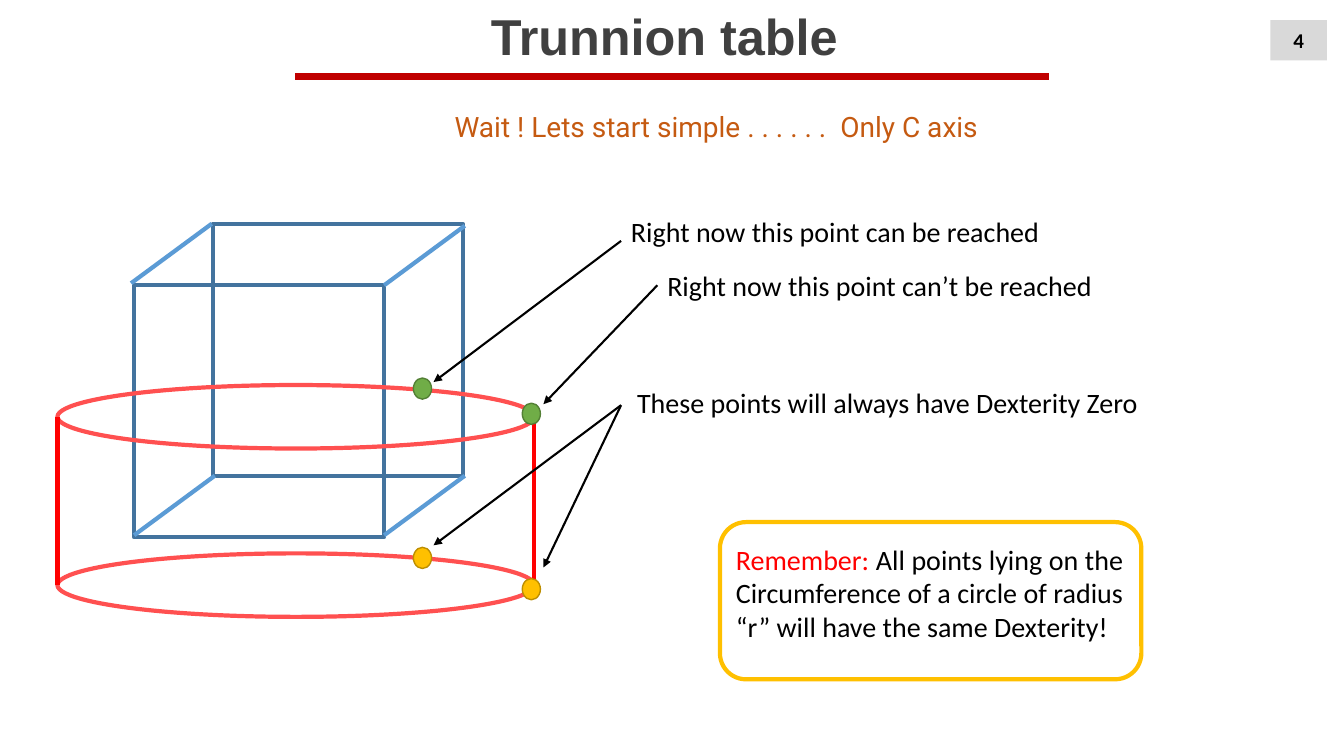
from dataclasses import dataclass

from lxml.etree import SubElement
from pptx import Presentation
from pptx.dml.color import RGBColor
from pptx.enum.shapes import MSO_CONNECTOR, MSO_SHAPE
from pptx.enum.text import MSO_ANCHOR, MSO_AUTO_SIZE, PP_ALIGN
from pptx.oxml.ns import qn
from pptx.util import Emu, Pt

EMU_PER_PX = 9144


@dataclass(frozen=True)
class Theme:
    """Colours, fonts, type sizes and line widths of the slide."""
    heading: str = "404040"
    rule: str = "C00000"
    subtitle: str = "C55A11"
    ink: str = "000000"
    badge: str = "D9D9D9"
    cube_face: str = "43739E"
    cube_edge: str = "5B9BD5"
    ring: str = "FF5050"
    red: str = "FF0000"
    green: str = "70AD47"
    green_line: str = "538035"
    gold: str = "FFC000"
    gold_line: str = "BD8E00"
    heading_font: str = "Arial"
    subtitle_font: str = "Roboto"
    body_font: str = "Calibri"
    heading_size: int = 36
    body_size: int = 20
    badge_size: int = 15
    rule_width: float = 4.5
    outline_width: float = 3
    arrow_width: float = 1.5
    point_width: float = 1


THEME = Theme()


def px(*lengths):
    """Turn pixel lengths into EMU."""
    return [Emu(length * EMU_PER_PX) for length in lengths]


def format_runs(paragraph, size, colors, font=THEME.body_font, bold=False):
    """Format the runs of a paragraph, one colour for each run."""
    for run, color in zip(paragraph.runs, colors):
        run.font.size = Pt(size)
        run.font.name = font
        run.font.bold = bold
        run.font.color.rgb = RGBColor.from_string(color)


def set_title(slide, text, box):
    """Place and format the title placeholder."""
    title = slide.shapes.title
    title.left, title.top, title.width, title.height = px(*box)
    frame = title.text_frame
    frame.text = text
    frame.auto_size = MSO_AUTO_SIZE.NONE
    frame.word_wrap = False
    frame.vertical_anchor = MSO_ANCHOR.TOP
    frame.paragraphs[0].alignment = PP_ALIGN.CENTER
    format_runs(frame.paragraphs[0], THEME.heading_size, [THEME.heading],
                THEME.heading_font, True)


def add_text(slide, box, parts, colors, font=THEME.body_font,
             alignment=PP_ALIGN.LEFT, wrap=True):
    """Add a text box whose paragraph has one run for each part."""
    shape = slide.shapes.add_textbox(*px(*box))
    shape.text_frame.word_wrap = wrap
    paragraph = shape.text_frame.paragraphs[0]
    paragraph.alignment = alignment
    for part in parts:
        paragraph.add_run().text = part
    format_runs(paragraph, THEME.body_size, colors, font)
    return shape


def add_figure(slide, kind, box, fill=None, line=None, width=THEME.outline_width):
    """Add a preset shape with an optional fill and outline."""
    shape = slide.shapes.add_shape(kind, *px(*box))
    shape.shadow.inherit = False
    if fill:
        shape.fill.solid()
        shape.fill.fore_color.rgb = RGBColor.from_string(fill)
    else:
        shape.fill.background()
    if line:
        shape.line.color.rgb = RGBColor.from_string(line)
        shape.line.width = Pt(width)
    else:
        shape.line.fill.background()
    return shape


def add_line(slide, start, end, color, width=THEME.outline_width):
    """Add a straight line without a shadow."""
    line = slide.shapes.add_connector(MSO_CONNECTOR.STRAIGHT, *px(*start, *end))
    line.line.color.rgb = RGBColor.from_string(color)
    line.line.width = Pt(width)
    SubElement(line._element.spPr, qn("a:effectLst"))
    return line


def add_arrow(slide, start, end):
    """Add a line with a triangle at its end."""
    arrow = add_line(slide, start, end, THEME.ink, THEME.arrow_width)
    SubElement(arrow.line._get_or_add_ln(), qn("a:tailEnd"), type="triangle")
    return arrow


def add_badge(slide, number, box):
    """Add the page number on its grey rectangle."""
    badge = add_figure(slide, MSO_SHAPE.RECTANGLE, box, THEME.badge)
    badge.text_frame.text = number
    badge.text_frame.vertical_anchor = MSO_ANCHOR.MIDDLE
    paragraph = badge.text_frame.paragraphs[0]
    paragraph.alignment = PP_ALIGN.CENTER
    format_runs(paragraph, THEME.badge_size, [THEME.ink], bold=True)


def add_cube(slide):
    """Draw the back and front faces and the four edges between them."""
    for left, top in ((211, 222), (133, 283)):
        add_figure(slide, MSO_SHAPE.RECTANGLE, (left, top, 248, 250),
                   line=THEME.cube_face)
    for x, y in ((130, 281), (381, 283), (133, 531), (381, 531)):
        add_line(slide, (x, y), (x + 80, y - 59), THEME.cube_edge)


def add_cylinder(slide):
    """Draw the two rings and the sides that join them."""
    for top in (382, 549):
        add_figure(slide, MSO_SHAPE.OVAL, (57, top, 473, 63), line=THEME.ring)
    for x, top in ((57, 414), (530, 417)):
        add_line(slide, (x, top), (x, 580), THEME.red)


def add_points(slide):
    """Mark the reachable and the zero dexterity points."""
    green = THEME.green, THEME.green_line
    gold = THEME.gold, THEME.gold_line
    for x, y, colors in ((518, 400, green), (410, 375, green),
                         (518, 574, gold), (410, 543, gold)):
        add_figure(slide, MSO_SHAPE.OVAL, (x, y, 18, 21), *colors,
                   THEME.point_width)


def add_callouts(slide):
    """Write the three remarks and point them at the marked points."""
    remarks = (
        ("Right now this point can be reached", (616, 208, 471, 44)),
        ("Right now this point can’t be reached", (652, 261, 457, 44)),
        ("These points will always have Dexterity Zero", (622, 378, 530, 44)),
    )
    labels = [add_text(slide, box, [text], [THEME.ink]) for text, box in remarks]
    add_arrow(slide, (616, 239), (430, 379))
    add_arrow(slide, (652, 283), (539, 401)).begin_connect(labels[1], 1)
    for end in ((430, 541), (539, 563)):
        add_arrow(slide, (616, 402), end)


def add_reminder(slide):
    """Write the rule to remember inside its rounded frame."""
    add_text(slide, (720, 533, 404, 111),
             ["Remember: ", "All points lying on the Circumference of a circle "
              "of radius “r” will have the same Dexterity!"],
             [THEME.red, THEME.ink], alignment=PP_ALIGN.JUSTIFY)
    add_figure(slide, MSO_SHAPE.ROUNDED_RECTANGLE, (714, 518, 418, 156),
               line=THEME.gold)


def main():
    """Build the slide and save it."""
    presentation = Presentation()
    presentation.slide_width, presentation.slide_height = px(1333, 750)
    slide = presentation.slides.add_slide(presentation.slide_layouts[5])
    set_title(slide, "Trunnion table", (468, 0, 382, 71))
    add_line(slide, (293, 76), (1040, 76), THEME.rule, THEME.rule_width)
    add_badge(slide, "4", (1260, 20, 56, 40))
    add_cube(slide)
    add_cylinder(slide)
    add_text(slide, (441, 104, 547, 44),
             ["Wait ! Lets start simple . . . . . .  Only C axis"],
             [THEME.subtitle], THEME.subtitle_font, wrap=False)
    add_points(slide)
    add_callouts(slide)
    add_reminder(slide)
    presentation.save("out.pptx")


if __name__ == "__main__":
    main()
